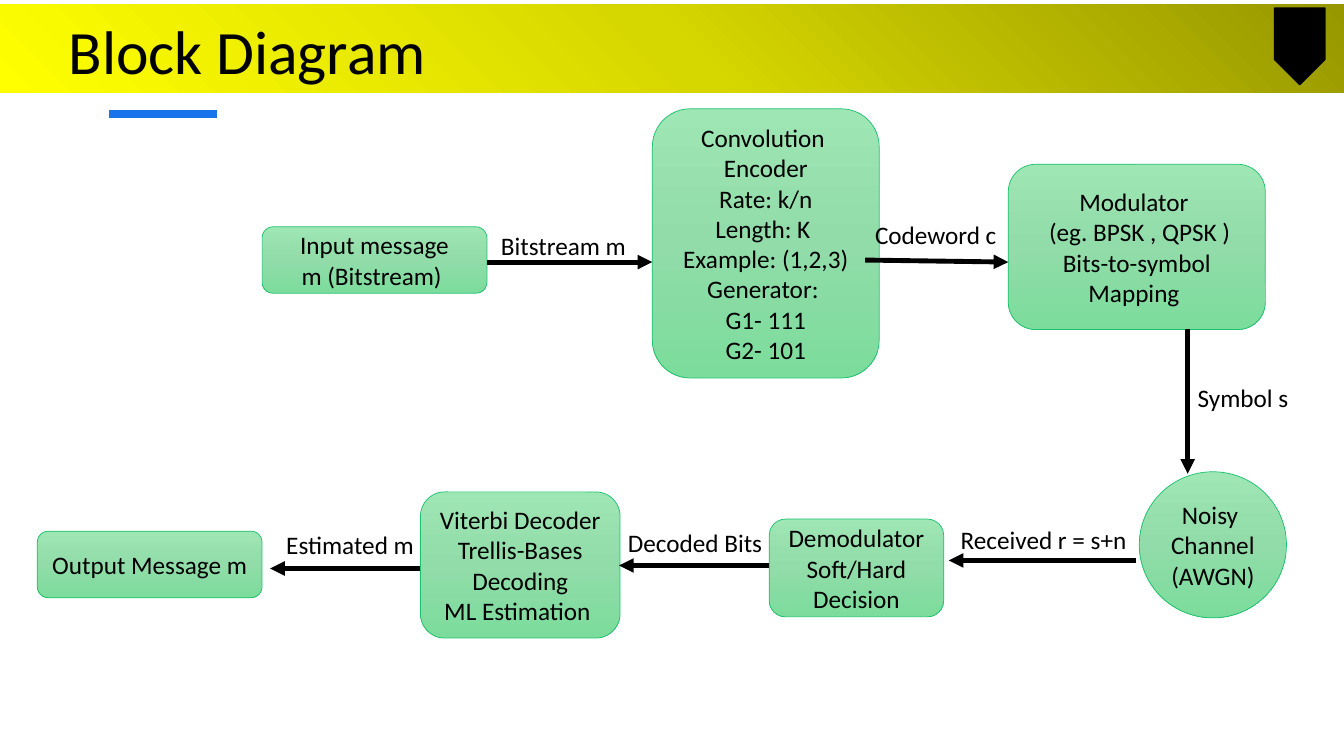
from copy import deepcopy

from pptx import Presentation
from pptx.dml.color import RGBColor
from pptx.enum import shapes, text
from pptx.oxml import ns
from pptx.oxml.xmlchemy import OxmlElement
from pptx.util import Inches, Pt

COLORS = {
    "ink": "000000", "accent": "1973EB", "outline": "1AC16E",
    "band": ["979700", "D7D700", "FFFF00"],
    "block": ["9EE6B4", "91DCA9", "7CDC9C"],
}
ROUNDED = shapes.MSO_SHAPE.ROUNDED_RECTANGLE
OVAL = shapes.MSO_SHAPE.OVAL


def fill_gradient(shape, colors, angle):
    shape.shadow.inherit = False
    shape.fill.gradient()
    shape.fill.gradient_angle = angle
    stops = shape._element.spPr.find(".//" + ns.qn("a:gsLst"))
    stops.insert(1, deepcopy(stops[0]))
    for stop, color, position in zip(shape.fill.gradient_stops, colors, (0, 0.5, 1)):
        stop.color.rgb = RGBColor.from_string(color)
        stop.position = position


def write(frame, lines, align, size=18, **frame_format):
    for name, value in frame_format.items():
        setattr(frame, name, value)
    font_format = {"name": "Calibri", "size": Pt(size), "bold": False}
    for index, line in enumerate(lines):
        para = frame.add_paragraph() if index else frame.paragraphs[0]
        para.alignment = align
        span = para.add_run()
        span.text = line
        for name, value in font_format.items():
            setattr(span.font, name, value)
        span.font.color.rgb = RGBColor.from_string(COLORS["ink"])


deck = Presentation()
deck.slide_width, deck.slide_height = Inches(13.33), Inches(7.5)
page = deck.slides.add_slide(deck.slide_layouts[5])

band = page.shapes.add_shape(shapes.MSO_SHAPE.RECTANGLE, Inches(0), Inches(0.04), Inches(13.33), Inches(0.88))
fill_gradient(band, COLORS["band"], 225)
band.line.fill.background()

badge = page.shapes.add_shape(shapes.MSO_SHAPE.PENTAGON, Inches(12.51), Inches(0.21), Inches(0.76), Inches(0.5))
badge.rotation = 90
badge.shadow.inherit = False
badge.fill.solid()
badge.fill.fore_color.rgb = RGBColor.from_string(COLORS["ink"])
badge.line.color.rgb = RGBColor.from_string(COLORS["ink"])
badge.line.width = Pt(1)

title = page.shapes.title
title_box = {"left": 0.58, "top": 0.08, "width": 6.47, "height": 0.84}
for name, value in title_box.items():
    setattr(title, name, Inches(value))
write(title.text_frame, ["Block Diagram"], text.PP_ALIGN.LEFT, 44, word_wrap=True,
      vertical_anchor=text.MSO_ANCHOR.TOP, auto_size=text.MSO_AUTO_SIZE.NONE)
page.shapes._spTree.append(title._element)

blocks = [
    (ROUNDED, 2.6, 2.25, 2.23, 0.66, ["Input message", "m (Bitstream) "]),
    (ROUNDED, 6.47, 1.08, 2.25, 2.67,
     ["Convolution ", "Encoder", "Rate: k/n", "Length: K ", "Example: (1,2,3)",
      "Generator: ", "G1- 111", "G2- 101"]),
    (ROUNDED, 10, 1.63, 2.55, 1.64,
     ["Modulator ", " (eg. BPSK , QPSK )", "Bits-to-symbol", "Mapping "]),
    (OVAL, 11.3, 4.68, 1.46, 1.45, ["Noisy ", "Channel ", "(AWGN)"]),
    (ROUNDED, 7.63, 5.15, 1.73, 0.97, ["Demodulator", "Soft/Hard Decision"]),
    (ROUNDED, 4.17, 4.88, 1.98, 1.45,
     ["Viterbi Decoder", "Trellis-Bases", "Decoding", "ML Estimation "]),
    (ROUNDED, 0.37, 5.27, 2.23, 0.66, ["Output Message m"]),
]
for kind, left, top, width, height, lines in blocks:
    block = page.shapes.add_shape(kind, Inches(left), Inches(top), Inches(width), Inches(height))
    fill_gradient(block, COLORS["block"], 270)
    block.line.color.rgb = RGBColor.from_string(COLORS["outline"])
    block.line.width = Pt(0.5)
    write(block.text_frame, lines, text.PP_ALIGN.CENTER, word_wrap=True,
          vertical_anchor=text.MSO_ANCHOR.MIDDLE)

lines = [
    (1.08, 1.13, 2.15, 1.13, "accent", 6),
    (4.83, 2.6, 6.47, 2.6, "ink", 3.5),
    (8.58, 2.58, 10, 2.6, "ink", 3.5),
    (11.78, 3.26, 11.78, 4.7, "ink", 3.5),
    (11.27, 5.56, 9.41, 5.56, "ink", 3.5),
    (7.63, 5.61, 6.14, 5.61, "ink", 3.5),
    (4.17, 5.64, 2.68, 5.64, "ink", 3.5),
]
for x1, y1, x2, y2, color, weight in lines:
    line = page.shapes.add_connector(
        shapes.MSO_CONNECTOR.STRAIGHT, Inches(x1), Inches(y1), Inches(x2), Inches(y2))
    line.line.color.rgb = RGBColor.from_string(COLORS[color])
    line.line.width = Pt(weight)
    if color == "ink":
        arrowhead = OxmlElement("a:tailEnd")
        arrowhead.set("type", "triangle")
        line.line._get_or_add_ln().append(arrowhead)
    line._element.spPr.append(OxmlElement("a:effectLst"))

labels = [
    (4.87, 2.24, 1.45, "Bitstream m"),
    (8.58, 2.13, 1.42, "Codeword c"),
    (11.78, 3.74, 1.11, "Symbol s"),
    (9.43, 5.15, 1.87, "Received r = s+n"),
    (6.13, 5.18, 1.55, "Decoded Bits"),
    (2.74, 5.2, 1.48, "Estimated m"),
]
for left, top, width, label in labels:
    box = page.shapes.add_textbox(Inches(left), Inches(top), Inches(width), Inches(0.4))
    write(box.text_frame, [label], text.PP_ALIGN.LEFT, word_wrap=False,
          auto_size=text.MSO_AUTO_SIZE.SHAPE_TO_FIT_TEXT)

deck.save("out.pptx")
